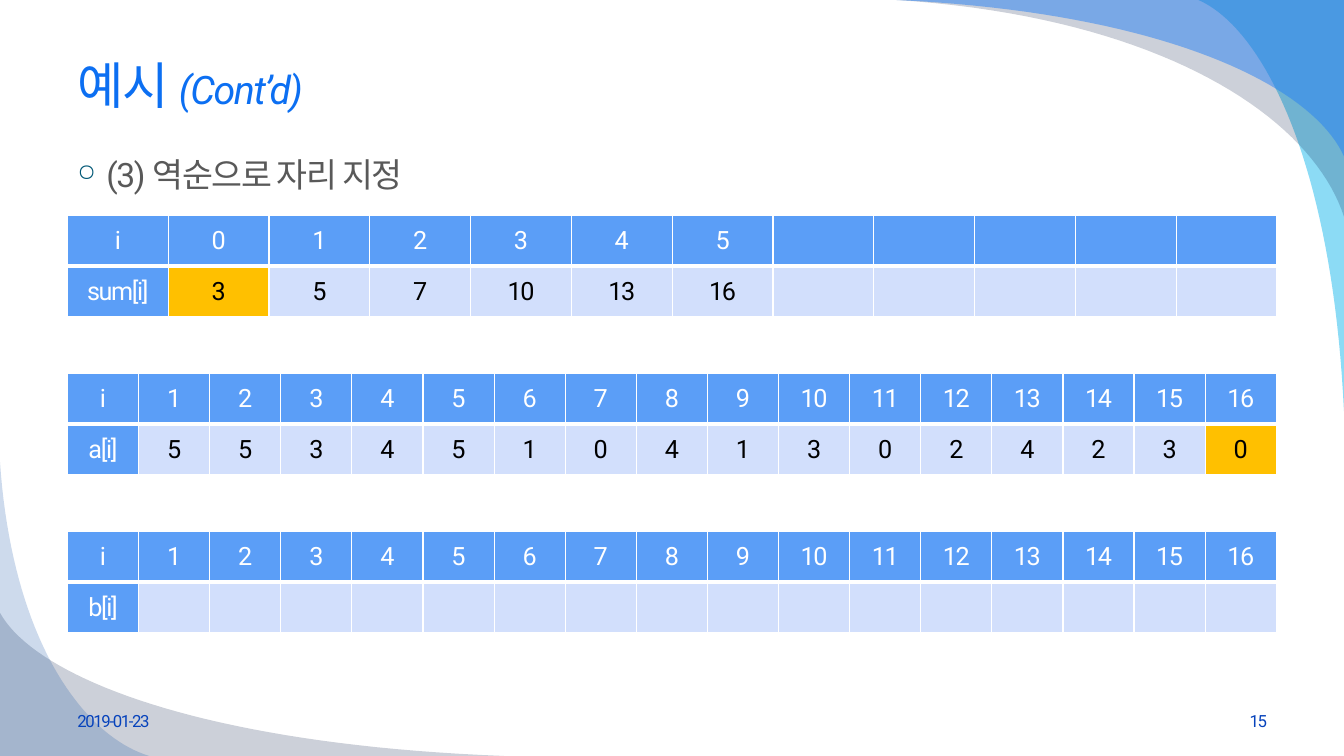
from lxml.etree import SubElement
from pptx import Presentation
from pptx.dml.color import RGBColor
from pptx.enum.text import MSO_ANCHOR, PP_ALIGN
from pptx.oxml.ns import qn
from pptx.util import Cm, Pt

WHITE = RGBColor(0xFF, 0xFF, 0xFF)
BLACK = RGBColor(0, 0, 0)
GRAY = RGBColor(0x59, 0x59, 0x59)
TITLE_BLUE = RGBColor(0x0C, 0x6F, 0xF2)
FOOTER_BLUE = RGBColor(0x07, 0x43, 0xBC)
HEADER = RGBColor(0x5B, 0x9E, 0xF7)
CELL = RGBColor(0xD2, 0xDF, 0xFC)
MARKED = RGBColor(0xFF, 0xC0, 0x00)
CYAN = RGBColor(0x00, 0xB1, 0xE9)
NAVY = RGBColor(0x02, 0x17, 0x41)
SKY = RGBColor(0x24, 0x7F, 0xF4)
DEEP_BLUE = RGBColor(0x08, 0x4A, 0xA1)

FONT = "Roboto"
WIDTH, HEIGHT = 33.87, 19.05
LEFT, CONTENT = 1.7, 30.48


def add_run(p, text, size=18, color=BLACK, italic=False):
    r = p.add_run()
    r.text = text
    r.font.name, r.font.size = FONT, Pt(size)
    r.font.color.rgb, r.font.italic = color, italic
    r.font._element.set("spc", "-100")


def bezier(t, a, b):
    return 3 * t * (1 - t) ** 2 * a + 3 * t * t * (1 - t) * b + t ** 3


def add_swoosh(s, tip, corner, end, color, alpha):
    points = []
    for step in range(41):
        u, v = bezier(step / 40, 0.6, 0.93), bezier(step / 40, 0.08, 0.55)
        points.append([Cm(t + u * (c - t) + v * (e - c))
                       for t, c, e in zip(tip, corner, end)])
    points.append([Cm(c) for c in corner])
    builder = s.shapes.build_freeform(*points[0])
    builder.add_line_segments(points[1:], close=True)
    sp = builder.convert_to_shape()
    sp.shadow.inherit = False
    sp.line.fill.background()
    sp.fill.solid()
    sp.fill.fore_color.rgb = color
    clr = sp.element.spPr.find(qn("a:solidFill"))[0]
    SubElement(clr, qn("a:alpha"), val=str(alpha * 1000))


def add_background(s, w, h):
    add_swoosh(s, (w, 10.36), (w, 0), (30.2, 0), CYAN, 45)
    add_swoosh(s, (22.58, 0), (w, 0), (w, 5.46), NAVY, 20)
    add_swoosh(s, (22.58, 0), (w, 0), (w, 3.94), SKY, 49)
    add_swoosh(s, (12.7, h), (0, h), (0, 15.44), NAVY, 20)
    add_swoosh(s, (0, 11.63), (0, h), (3.76, h), DEEP_BLUE, 20)


def add_title(s, x, y, w, h):
    sp = s.shapes.title
    s.shapes.element.append(sp.element)
    sp.left, sp.top, sp.width, sp.height = Cm(x), Cm(y), Cm(w), Cm(h)
    tf = sp.text_frame
    tf.vertical_anchor = MSO_ANCHOR.MIDDLE
    p = tf.paragraphs[0]
    p.alignment = PP_ALIGN.LEFT
    add_run(p, "예시 ", size=36, color=TITLE_BLUE)
    add_run(p, "(Cont’d)", size=28, color=TITLE_BLUE, italic=True)


def add_text(s, x, y, w, h, text, anchor=MSO_ANCHOR.MIDDLE,
             align=PP_ALIGN.LEFT, **fmt):
    tf = s.shapes.add_textbox(Cm(x), Cm(y), Cm(w), Cm(h)).text_frame
    tf.word_wrap = True
    tf.vertical_anchor = anchor
    p = tf.paragraphs[0]
    p.alignment = align
    add_run(p, text, **fmt)
    return p


def add_bullet(s, x, y, w, h):
    p = add_text(s, x, y, w, h, "(3) 역순으로 자리 지정",
                 anchor=MSO_ANCHOR.TOP, size=24, color=GRAY)
    pPr = p._p.get_or_add_pPr()
    pPr.set("marL", str(Cm(0.73)))
    pPr.set("indent", str(-Cm(0.73)))
    clr = SubElement(pPr, qn("a:buClr"))
    SubElement(clr, qn("a:srgbClr"), val="005876")
    SubElement(pPr, qn("a:buSzPct"), val="70000")
    SubElement(pPr, qn("a:buChar"), char="○")


def set_borders(cell, **widths):
    tcPr = cell._tc.get_or_add_tcPr()
    for side, width in widths.items():
        ln = SubElement(tcPr, qn(f"a:{side}"), w=str(Pt(width)))
        fill = SubElement(ln, qn("a:solidFill"))
        SubElement(fill, qn("a:srgbClr"), val=str(WHITE))


def add_array(s, x, y, w, h, name, indexes, values, columns, marked=None):
    table = s.shapes.add_table(2, columns, Cm(x), Cm(y), Cm(w), Cm(h)).table
    for column in table.columns:
        column.width = Cm(w / columns)
    for i, texts in enumerate((["i", *indexes], [name, *values])):
        table.rows[i].height = Cm(h / 2)
        texts += [""] * (columns - len(texts))
        for j, text in enumerate(texts):
            cell = table.cell(i, j)
            is_header = i == 0 or j == 0
            set_borders(cell, lnL=1, lnR=1, lnT=3 if i else 1, lnB=1 if i else 3)
            cell.fill.solid()
            cell.fill.fore_color.rgb = (
                HEADER if is_header else MARKED if j == marked else CELL)
            cell.vertical_anchor = MSO_ANCHOR.MIDDLE
            p = cell.text_frame.paragraphs[0]
            p.alignment = PP_ALIGN.CENTER
            if text != "":
                add_run(p, str(text), color=WHITE if is_header else BLACK)


def add_arrays(s, x, y, w, h, step):
    sums = [3, 5, 7, 10, 13, 16]
    items = [5, 5, 3, 4, 5, 1, 0, 4, 1, 3, 0, 2, 4, 2, 3, 0]
    arrays = [("sum[i]", range(6), sums, 12, 1),
              ("a[i]", range(1, 17), items, 17, 16),
              ("b[i]", range(1, 17), [], 17, None)]
    for k, array in enumerate(arrays):
        add_array(s, x, y + k * step, w, h, *array)


def add_footer(s, x, y, w, h):
    box = 7.9
    add_text(s, x, y, box, h, "2019-01-23", size=12, color=FOOTER_BLUE)
    add_text(s, x + w - box, y, box, h, "15", align=PP_ALIGN.RIGHT,
             size=12, color=FOOTER_BLUE)


def main():
    prs = Presentation()
    prs.slide_width, prs.slide_height = Cm(WIDTH), Cm(HEIGHT)
    s = prs.slides.add_slide(prs.slide_layouts[5])
    add_background(s, WIDTH, HEIGHT)
    add_title(s, LEFT, 0.84, CONTENT, 2.57)
    add_bullet(s, LEFT, 3.76, CONTENT, 13.26)
    add_footer(s, LEFT, 17.65, CONTENT, 1.02)
    add_arrays(s, LEFT, 5.42, CONTENT, 2.57, 3.98)
    prs.save("out.pptx")


if __name__ == "__main__":
    main()
